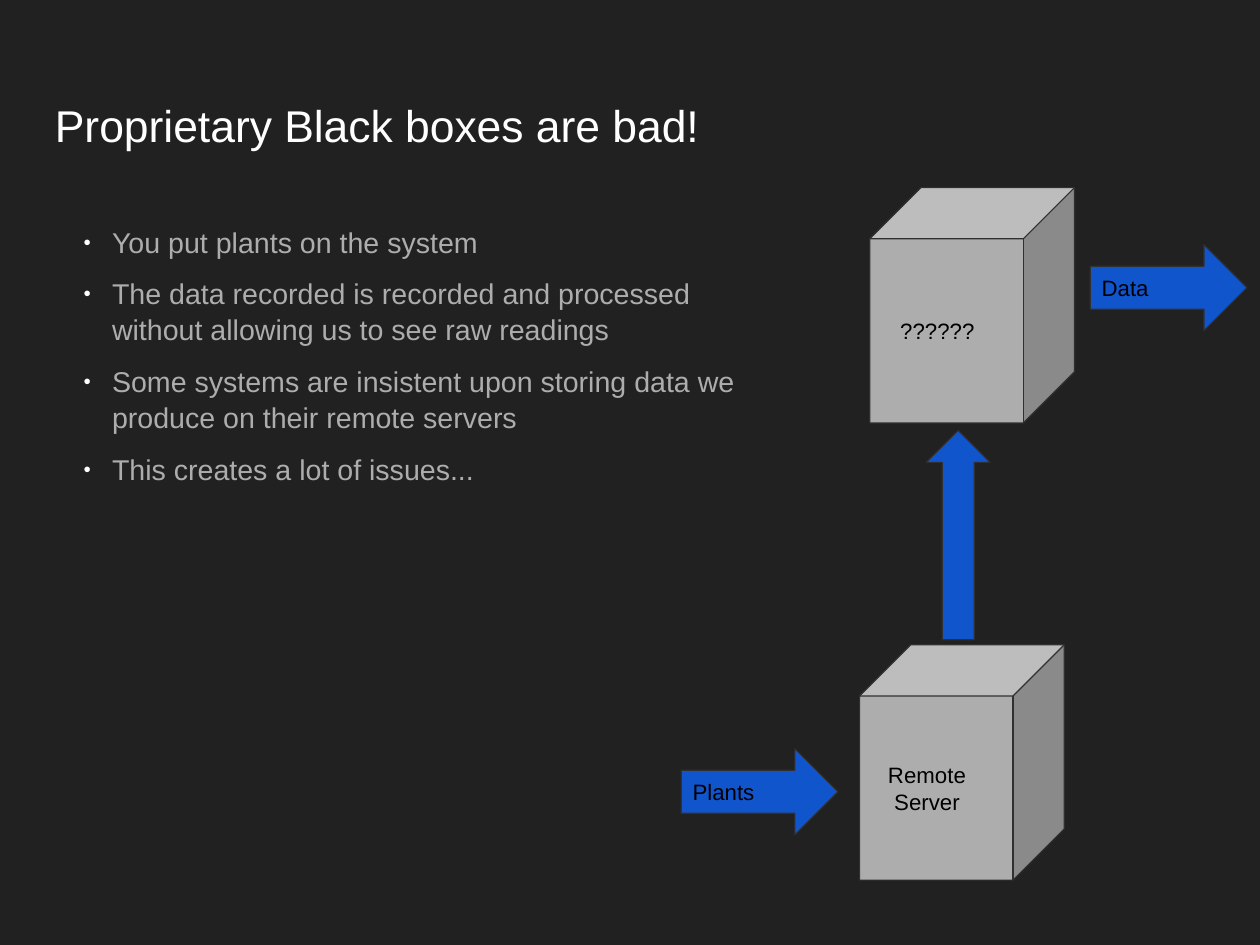
from pptx import Presentation
from pptx.dml.color import RGBColor
from pptx.enum.shapes import MSO_SHAPE
from pptx.enum.text import MSO_ANCHOR, MSO_AUTO_SIZE, PP_ALIGN
from pptx.oxml import parse_xml
from pptx.oxml.ns import nsdecls
from pptx.util import Cm, Pt

COLORS = {
    "background": "212121",
    "title": "FFFFFF",
    "body": "ADADAD",
    "bullet": "FFFFFF",
    "cube": "ADADAD",
    "arrow": "1155CC",
    "outline": "303030",
    "label": "000000",
}
FONT = "Arial"
INSET = 0.25
CUBE_SIZE = (4.55, 5.23)
ARROW_SIZE = (3.48, 1.91)
REASONS = [
    "You put plants on the system",
    "The data recorded is recorded and processed without allowing us to see raw readings",
    "Some systems are insistent upon storing data we produce on their remote servers",
    "This creates a lot of issues...",
]


def rgb(name):
    return RGBColor.from_string(COLORS[name])


def place(shape, box):
    shape.left, shape.top, shape.width, shape.height = (Cm(length) for length in box)


def format_text(frame, size, color, anchor, align=PP_ALIGN.LEFT):
    frame.word_wrap = True
    frame.auto_size = MSO_AUTO_SIZE.NONE
    frame.vertical_anchor = anchor
    frame.margin_left = frame.margin_right = Cm(INSET)
    frame.margin_top = frame.margin_bottom = Cm(INSET)
    for paragraph in frame.paragraphs:
        paragraph.alignment = align
        for run in paragraph.runs:
            run.font.name = FONT
            run.font.size = Pt(size)
            run.font.color.rgb = rgb(color)


def add_bullet(paragraph):
    properties = paragraph._p.get_or_add_pPr()
    properties.set("marL", str(Cm(1.27)))
    properties.set("indent", str(-Cm(0.64)))
    for markup in (
        f'<a:buClr {nsdecls("a")}><a:srgbClr val="{COLORS["bullet"]}"/></a:buClr>',
        f'<a:buSzPct {nsdecls("a")} val="45000"/>',
        f'<a:buFont {nsdecls("a")} typeface="{FONT}"/>',
        f'<a:buChar {nsdecls("a")} char="●"/>',
    ):
        properties.append(parse_xml(markup))


def fill_title(slide, box):
    title = slide.shapes.title
    place(title, box)
    title.text_frame.text = "Proprietary Black boxes are bad!"
    format_text(title.text_frame, 28, "title", MSO_ANCHOR.TOP)
    title.text_frame.paragraphs[0].line_spacing = 1.1


def fill_reasons(slide, box):
    body = slide.placeholders[1]
    place(body, box)
    body.text_frame.text = "\n".join(REASONS)
    format_text(body.text_frame, 18, "body", MSO_ANCHOR.TOP)
    for paragraph in body.text_frame.paragraphs:
        paragraph.line_spacing = 1.05
        paragraph.space_before = Pt(0)
        paragraph.space_after = Pt(10)
        add_bullet(paragraph)


def add_block(slide, kind, box, color, label="", align=PP_ALIGN.LEFT):
    block = slide.shapes.add_shape(kind, *(Cm(length) for length in box))
    block.shadow.inherit = False
    block.fill.solid()
    block.fill.fore_color.rgb = rgb(color)
    block.line.color.rgb = rgb("outline")
    block.line.width = Pt(0.75)
    block.text_frame.text = label
    format_text(block.text_frame, 14, "label", MSO_ANCHOR.MIDDLE, align)
    return block


def draw_data_flow(slide, box):
    left, top, width, height = box
    cube_width, cube_height = CUBE_SIZE
    arrow_width, arrow_height = ARROW_SIZE

    cubes = [
        ("??????", left + 4.19, top),
        ("Remote\nServer", left + 3.96, top + height - cube_height),
    ]
    for label, x, y in cubes:
        cube = add_block(slide, MSO_SHAPE.CUBE, (x, y, *CUBE_SIZE), "cube", label, PP_ALIGN.CENTER)
        cube.text_frame.margin_right = Cm(0.66)

    arrows = [
        ("Plants", left, top + 12.47),
        ("Data", left + width - arrow_width, top + 1.27),
    ]
    for label, x, y in arrows:
        add_block(slide, MSO_SHAPE.RIGHT_ARROW, (x, y, arrow_width, arrow_height), "arrow", label)

    upload = add_block(
        slide, MSO_SHAPE.RIGHT_ARROW, (left + 3.83, top + 7.01, 4.65, 1.42), "arrow"
    )
    upload.rotation = 270


def main():
    presentation = Presentation()
    presentation.slide_width, presentation.slide_height = Cm(28), Cm(21)
    slide = presentation.slides.add_slide(presentation.slide_layouts[1])
    slide.background.fill.solid()
    slide.background.fill.fore_color.rgb = rgb("background")

    fill_title(slide, (0.97, 1.8, 26.09, 2.34))
    fill_reasons(slide, (0.97, 4.7, 15.65, 13.94))
    draw_data_flow(slide, (15.14, 4.17, 12.57, 15.39))
    presentation.save("out.pptx")


if __name__ == "__main__":
    main()
